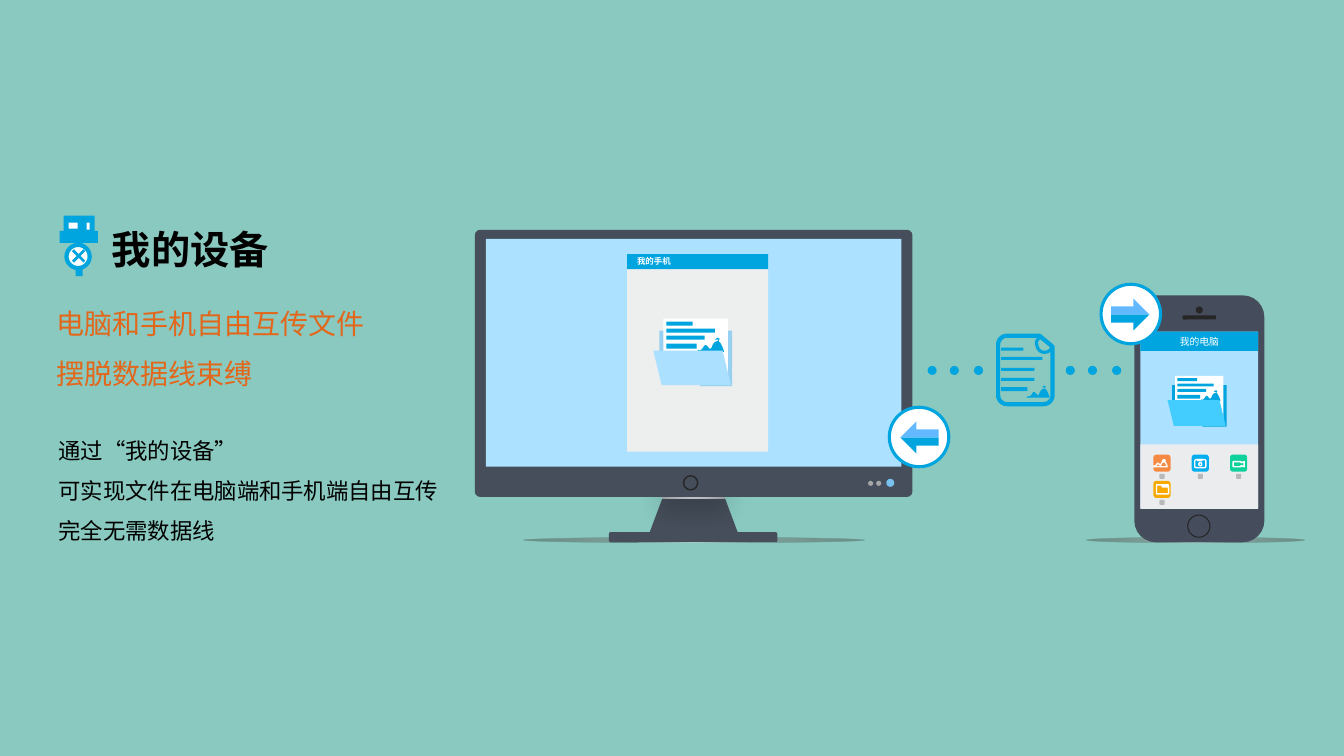
"""Build the slide on sending files between a computer and a phone."""
from dataclasses import dataclass

from pptx import Presentation
from pptx.dml.color import RGBColor
from pptx.enum.shapes import MSO_SHAPE
from pptx.enum.text import MSO_ANCHOR, MSO_AUTO_SIZE, PP_ALIGN
from pptx.oxml import parse_xml
from pptx.oxml.ns import nsdecls, qn
from pptx.util import Pt


@dataclass(frozen=True)
class Theme:
    back: str = "89C9BF"
    blue: str = "00A5E0"
    light: str = "63B9FF"
    screen: str = "ACE1FF"
    shell: str = "454E5A"
    phone: str = "454C5C"
    panel: str = "EDEEEE"
    dark: str = "262626"
    grey: str = "A6A6A6"
    label: str = "808080"
    white: str = "FFFFFF"
    black: str = "000000"
    orange: str = "E3671B"
    font: str = "Noto Sans CJK SC"
    small_font: str = "Calibri"
    title: int = 28
    lead: int = 20
    body: int = 16
    phone_bar: int = 7
    window_bar: int = 6


T = Theme()
PX = 9144
RECT, ROUND, OVAL = MSO_SHAPE.RECTANGLE, MSO_SHAPE.ROUNDED_RECTANGLE, MSO_SHAPE.OVAL
TRIANGLE = MSO_SHAPE.ISOSCELES_TRIANGLE
FLOOR = ((0, "F7FAFD", 50), (28, "808080", 52), (100, "404040", 43))
NECK = ((0, "F7FAFD", 71), (100, "A6A6A6", 89))

TEXTS = [
    (["我的设备"], (101, 218, 188, 57), T.title, T.black, True, 1),
    (["电脑和手机自由互传文件", "摆脱数据线束缚"], (46, 282, 433, 111), T.lead, T.orange, False, 1.5),
    (["通过“我的设备”", "可实现文件在电脑端和手机端自由互传", "完全无需数据线"],
     (48, 415, 422, 131), T.body, T.black, False, 1.5),
]
MONITOR = [
    (ROUND, (471, 228, 434, 265), dict(fill=T.shell, adj=0.02)),
    (RECT, (482, 237, 412, 226), dict(fill=T.screen)),
    (ROUND, (604, 528, 167, 10), dict(fill=T.shell)),
    (OVAL, (678, 472, 14, 14), dict(line=T.dark, width=1)),
    (OVAL, (879, 475, 8, 8), dict(fill="76C1EE")),
    (OVAL, (869, 477, 5, 5), dict(fill=T.grey)),
    (OVAL, (861, 477, 5, 5), dict(fill=T.grey)),
    (RECT, (622, 267, 140, 181), dict(fill=T.panel)),
]
PHONE = [
    (OVAL, (1078, 533, 216, 5), dict(fill=FLOOR)),
    (ROUND, (1125, 293, 129, 245), dict(fill=T.phone)),
    (RECT, (1131, 329, 117, 175), dict(fill=T.screen)),
    (OVAL, (1186, 304, 7, 7), dict(fill=T.dark)),
    (ROUND, (1173, 313, 33, 4), dict(fill=T.dark)),
    (OVAL, (1178, 511, 22, 22), dict(line=T.dark, width=0.75)),
    (RECT, (1131, 441, 117, 64), dict(fill="EBECEE")),
]
PLUG = [
    (RECT, (59, 229, 38, 12), dict(fill=T.blue)),
    (RECT, (63, 214, 31, 15), dict(fill=T.blue)),
    (RECT, (75, 237, 7, 37), dict(fill=T.blue)),
    (OVAL, (66, 243, 23, 23), dict(fill=T.white, line=T.blue, width=3)),
    (MSO_SHAPE.CROSS, (70, 246, 16, 16), dict(fill=T.blue, adj=0.416, turn=44.5)),
    (RECT, (68, 221, 9, 6), dict(fill=T.white)),
    (RECT, (86, 221, 3, 7), dict(fill=T.white)),
]
APPS = [(0, 1, "F8A900"), (0, 0, "F68A42"), (1, 0, "00ADEF"), (2, 0, "0FD19B")]
CAMERA = [(ROUND, (1185, 456, 11, 8)), (OVAL, (1189, 459, 3, 3)), (ROUND, (1188, 456, 4, 1))]
FOLDER_BARS = [(13, 3, 26, 4), (13, 10, 48, 4), (13, 17, 38, 4), (13, 25, 30, 5)]
FILE_BARS = [(3, 12, 22, 3), (3, 21, 41, 3), (3, 32, 33, 3), (3, 42, 33, 3), (3, 51, 26, 4)]

HILLS = [(0, 10), (1, 9, 1, 9, 2, 8), (4, 10, 6, 6, 7, 5), (8, 2, 11, 4, 11, 5),
         (15, 10, 15, 4, 16, 3), (18, -1, 22, -2, 24, 2), (25, 4, 27, 8, 27, 10)]
TREE = [(TRIANGLE, (20, -4, 3, 1)), (TRIANGLE, (18, -4, 5, 2)), (RECT, (21, -2, 1, 3))]
FOLDER_BACK = [(6, 12), (78, 12), (78, 67), (46, 67), (47, 64), (6, 47)]
FILE_EDGE = [(9, 0), (41, 0), (54, 11), (54, 59), (54, 64, 50, 68, 45, 68), (9, 68),
             (4, 68, 0, 64, 0, 59), (0, 9), (0, 4, 4, 0, 9, 0)]
FILE_FLAP = [(41, 1), (54, 11), (51, 15), (44, 19, 38, 15, 38, 6)]
ARROW_LOW = [(10, 30), (48, 30), (32, 46), (32, 38), (10, 38)]
ARROW_TOP = [(32, 14), (48, 30), (10, 30), (10, 22), (32, 22)]
APP_FOLDER = [(0, 0), (5, 0), (6, 2), (12, 2), (12, 9), (0, 9)]
APP_TAB = [(6, 0), (12, 0), (12, 1), (6, 1)]
APP_VIDEO = [(1, 0), (7, 0), (8, 0, 8, 0, 8, 1), (11, 0), (11, 5), (8, 4),
             (8, 5, 8, 5, 7, 5), (1, 5), (0, 5, 0, 5, 0, 4), (0, 1), (0, 0, 0, 0, 1, 0)]


def paint(sp, fill=None, line=None, width=0, alpha=None):
    sp.shadow.inherit = False
    pr = sp._element.spPr
    sp.fill.background()
    if isinstance(fill, tuple):
        stops = "".join(f'<a:gs pos="{pos * 1000}"><a:srgbClr val="{c}"><a:alpha val="{a * 1000}"/>'
                        f'</a:srgbClr></a:gs>' for pos, c, a in fill)
        pr.replace(pr.find(qn("a:noFill")), parse_xml(
            f'<a:gradFill {nsdecls("a")}><a:gsLst>{stops}</a:gsLst><a:path path="circle">'
            '<a:fillToRect l="50000" t="50000" r="50000" b="50000"/></a:path></a:gradFill>'))
    elif fill:
        sp.fill.solid()
        sp.fill.fore_color.rgb = RGBColor.from_string(fill)
    if alpha:
        pr.find(qn("a:solidFill"))[0].append(
            parse_xml(f'<a:alpha {nsdecls("a")} val="{alpha * 1000}"/>'))
    if line:
        sp.line.color.rgb = RGBColor.from_string(line)
        sp.line.width = Pt(width)
    else:
        sp.line.fill.background()
    return sp


def draw(g, kind, box, at=(0, 0), scale=1, adj=None, turn=0, **look):
    x, y, w, h = (v * scale for v in box)
    sp = g.shapes.add_shape(kind, *(round(v * PX) for v in (at[0] + x, at[1] + y, w, h)))
    if adj is not None:
        sp.adjustments[0] = adj
    sp.rotation = turn
    return paint(sp, **look)


def outline(g, path, at, scale=1, **look):
    pts = []
    for step in path:
        if len(step) == 2:
            pts.append(step)
            continue
        ctrl = [pts[-1], step[:2], step[2:4], step[4:]]
        for t in (i / 8 for i in range(1, 9)):
            mix = ((1 - t) ** 3, 3 * t * (1 - t) ** 2, 3 * t * t * (1 - t), t ** 3)
            pts.append(tuple(sum(m * c[k] for m, c in zip(mix, ctrl)) for k in (0, 1)))
    pts = [tuple(round((o + v * scale) * PX) for o, v in zip(at, p)) for p in pts]
    fb = g.shapes.build_freeform(*pts[0])
    fb.add_line_segments(pts[1:], close=True)
    return paint(fb.convert_to_shape(), **look)


def scenery(g, at, scale, **look):
    outline(g, HILLS, at, scale, **look)
    for kind, box in TREE:
        draw(g, kind, box, at, scale, **look)


def folder(g, at, scale, back, front):
    outline(g, FOLDER_BACK, at, scale, fill=back)
    draw(g, RECT, (10, 0, 64, 55), at, scale, fill=T.white)
    scenery(g, (at[0] + 43 * scale, at[1] + 23 * scale), scale, fill=T.blue)
    for bar in FOLDER_BARS:
        draw(g, RECT, bar, at, scale, fill=T.blue)
    flap = draw(g, MSO_SHAPE.PARALLELOGRAM, (0, 32, 77, 34), at, scale, adj=0.244, fill=front)
    flap._element.spPr.xfrm.set("flipH", "1")


def badge(g, at, left):
    draw(g, OVAL, (0, 0, 59, 59), at, fill=T.white, line=T.blue, width=2.25)
    for half, color in ((ARROW_LOW, T.blue), (ARROW_TOP, T.light)):
        outline(g, [(59 - x if left else x, y) for x, y in half], at, fill=color)


def write(tf, lines, size, color, font, bold=False, spacing=1, align=PP_ALIGN.LEFT):
    tf.text = "\n".join(lines)
    for p in tf.paragraphs:
        p.alignment, p.line_spacing, p.space_before = align, spacing, Pt(0)
        pPr = p._p.get_or_add_pPr()
        pPr.set("marL", "0")
        pPr.set("indent", "0")
        pPr.append(parse_xml(f'<a:buNone {nsdecls("a")}/>'))
        f = p.runs[0].font
        f.size, f.bold, f.name = Pt(size), bold, font
        f.color.rgb = RGBColor.from_string(color)
        f._element.find(qn("a:latin")).addnext(
            parse_xml(f'<a:ea {nsdecls("a")} typeface="{font}"/>'))


def header(g, box, text, size, bold, align):
    tf = draw(g, RECT, box, fill=T.blue).text_frame
    tf.vertical_anchor = MSO_ANCHOR.MIDDLE
    write(tf, [text], size, T.white, T.small_font, bold, align=align)


prs = Presentation()
prs.slide_width, prs.slide_height = 1333 * PX, 750 * PX
s = prs.slides.add_slide(prs.slide_layouts[3])
s.background.fill.solid()
s.background.fill.fore_color.rgb = RGBColor.from_string(T.back)

for ph, (lines, box, size, color, bold, spacing) in zip(s.placeholders, TEXTS):
    ph.left, ph.top, ph.width, ph.height = (v * PX for v in box)
    write(ph.text_frame, lines, size, color, T.font, bold, spacing)
    ph.text_frame.word_wrap = True
    ph.text_frame.auto_size = MSO_AUTO_SIZE.NONE

g = s.shapes.add_group_shape()
draw(g, OVAL, (519, 533, 338, 5), fill=FLOOR)
draw(g, MSO_SHAPE.TRAPEZOID, (644, 473, 88, 56), adj=0.375, fill=T.shell)
neck = draw(g, RECT, (657, 490, 62, 5), fill=NECK)
neck._element.spPr.find(qn("a:effectLst")).append(parse_xml(
    f'<a:outerShdw {nsdecls("a")} blurRad="{Pt(19)}" dist="{Pt(3)}" dir="5400000">'
    f'<a:srgbClr val="{T.black}"/></a:outerShdw>'))
for kind, box, look in MONITOR:
    draw(g, kind, box, **look)
header(g, (622, 252, 140, 15), "我的手机", T.window_bar, True, PP_ALIGN.LEFT)
folder(g, (648, 316), 1, "98D0F2", "ABE0FF")

g = s.shapes.add_group_shape()
for kind, box, look in PHONE:
    draw(g, kind, box, **look)
folder(g, (1158, 373), 0.75, T.blue, "43CDFF")
header(g, (1131, 329, 117, 19), "我的电脑", T.phone_bar, False, PP_ALIGN.CENTER)
for col, row, color in APPS:
    at = (1144 + 38 * col, 451 + 26 * row)
    draw(g, ROUND, (0, 0, 17, 17), at, fill=color)
    draw(g, ROUND, (6, 19, 5, 5), at, fill=T.label, alpha=48)
glyph = dict(line=T.white, width=1)
outline(g, APP_FOLDER, (1147, 481), **glyph)
outline(g, APP_TAB, (1147, 481), **glyph)
scenery(g, (1144, 458), 0.5, **glyph)
for kind, box in CAMERA:
    draw(g, kind, box, **glyph)
outline(g, APP_VIDEO, (1223, 458), **glyph)

g = s.shapes.add_group_shape()
outline(g, FILE_EDGE, (990, 333), line=T.blue, width=3)
scenery(g, (1018, 386), 0.85, fill=T.blue)
for bar in FILE_BARS:
    draw(g, RECT, bar, (990, 333), fill=T.blue)
outline(g, FILE_FLAP, (990, 333), line=T.blue, width=2.25)

for start in (920, 1057):
    g = s.shapes.add_group_shape()
    for step in (0, 22, 46):
        draw(g, OVAL, (start + step, 363, 9, 9), fill=T.blue)

for at, left in (((882, 404), True), ((1092, 282), False)):
    badge(s.shapes.add_group_shape(), at, left)

g = s.shapes.add_group_shape()
for kind, box, look in PLUG:
    draw(g, kind, box, **look)

prs.save("out.pptx")
